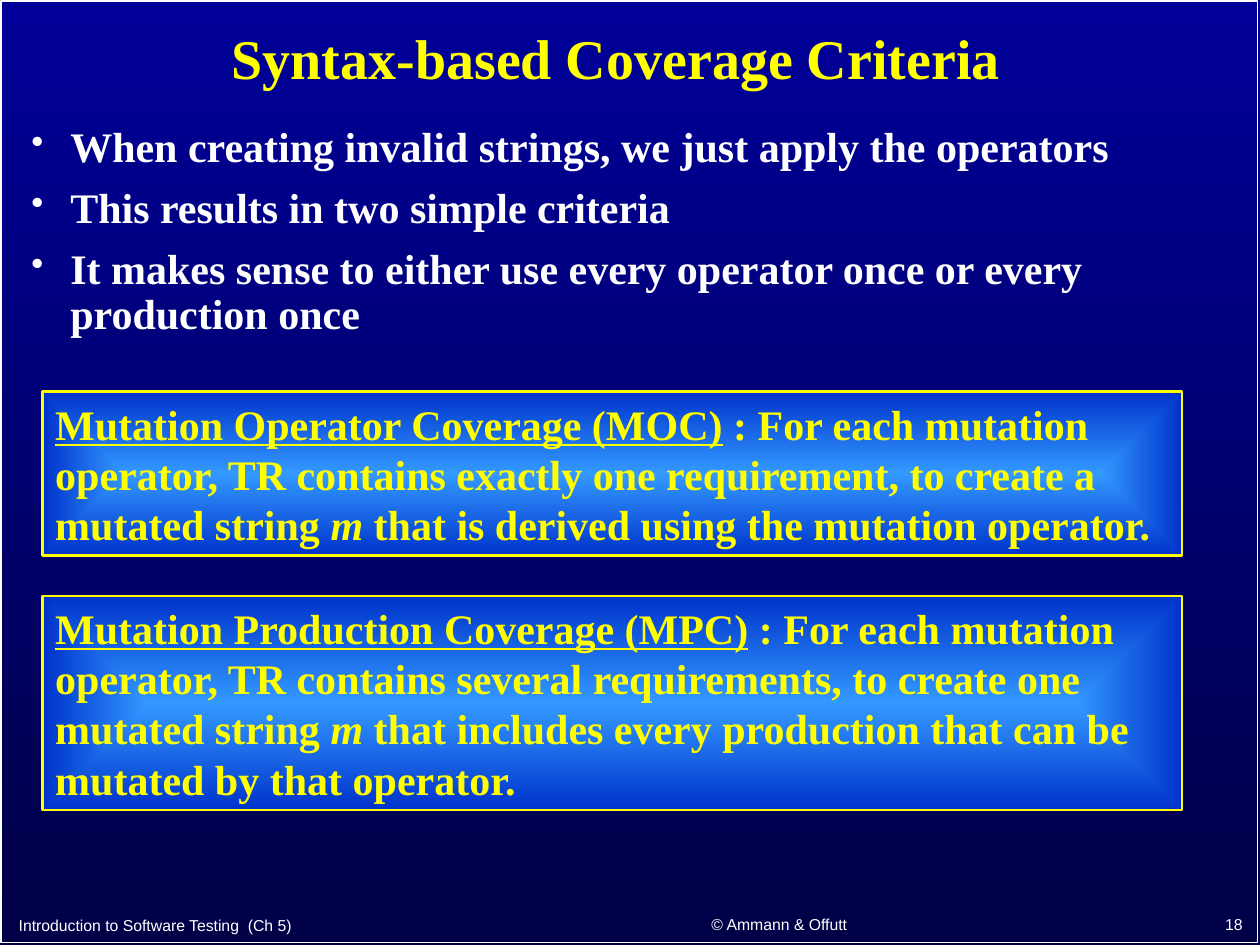
import pptx
import pptx.dml.color
import pptx.enum.shapes
import pptx.enum.text
import pptx.oxml
import pptx.oxml.ns
import pptx.util
from pptx.util import Inches

ALIGN = pptx.enum.text.PP_ALIGN
ANCHOR = pptx.enum.text.MSO_ANCHOR
RECTANGLE = pptx.enum.shapes.MSO_SHAPE.RECTANGLE


def color(hex_string):
    return pptx.dml.color.RGBColor.from_string(hex_string)


def xml(markup):
    """Parse an element written with the a: prefix."""
    tag, rest = markup[:-2].split(" ", 1) if " " in markup else (markup[:-2], "")
    return pptx.oxml.parse_xml(f"{tag} {pptx.oxml.ns.nsdecls('a')} {rest}/>")


def set_gradient(fill, start, end):
    fill.gradient()
    for stop, shade, position in zip(fill.gradient_stops, (start, end), (0, 1)):
        stop.color.rgb = color(shade)
        stop.position = position


class CriteriaSlide:
    SERIF, SANS = "Times New Roman", "Arial"
    WHITE, YELLOW = "FFFFFF", "FFFF00"
    HEADING_SIZE, TEXT_SIZE, FOOTER_SIZE = 32, 24, 9

    def __init__(self, presentation):
        self.slide = presentation.slides.add_slide(presentation.slide_layouts[5])

    def format_font(self, font, name, size, hex_string, bold=False):
        font.name = name
        font.size = pptx.util.Pt(size)
        font.color.rgb = color(hex_string)
        font.bold = bold

    def background(self, top, bottom):
        fill = self.slide.background.fill
        set_gradient(fill, top, bottom)
        fill.gradient_angle = 270

    def rectangle(self, left, top, width, height, line_color, line_width):
        shape = self.slide.shapes.add_shape(
            RECTANGLE, Inches(left), Inches(top), Inches(width), Inches(height))
        shape.shadow.inherit = False
        shape.fill.background()
        shape.line.color.rgb = color(line_color)
        shape.line.width = pptx.util.Pt(line_width)
        return shape

    def title(self, text, left, top, width, height):
        heading = self.slide.shapes.title
        heading.left, heading.top = Inches(left), Inches(top)
        heading.width, heading.height = Inches(width), Inches(height)
        frame = heading.text_frame
        frame.text = text
        frame.word_wrap = True
        frame.vertical_anchor = ANCHOR.MIDDLE
        line = frame.paragraphs[0]
        line.alignment = ALIGN.CENTER
        line.line_spacing = 0.9
        self.format_font(line.runs[0].font, self.SERIF, self.HEADING_SIZE, self.YELLOW, True)

    def text_box(self, text, left, top, width, height):
        box = self.slide.shapes.add_textbox(
            Inches(left), Inches(top), Inches(width), Inches(height))
        box.text_frame.word_wrap = True
        box.text_frame.text = text
        return box.text_frame

    def bullets(self, points, left, top, width, height):
        frame = self.text_box("\n".join(points), left, top, width, height)
        for index, point in enumerate(frame.paragraphs):
            properties = point._p.get_or_add_pPr()
            properties.set("marL", str(Inches(0.31)))
            properties.set("indent", str(-Inches(0.31)))
            bullet_color = xml("<a:buClr/>")
            bullet_color.append(xml(f'<a:srgbClr val="{self.WHITE}"/>'))
            properties.append(bullet_color)
            properties.append(xml('<a:buSzPct val="85000"/>'))
            properties.append(xml('<a:buChar char="•"/>'))
            point.line_spacing = 0.9
            if index:
                point.space_before = pptx.util.Pt(9)
            self.format_font(point.runs[0].font, self.SERIF, self.TEXT_SIZE, self.WHITE, True)

    def definition(self, term, before, symbol, after, top, height):
        """Gradient panel with an underlined term and an italic symbol."""
        panel = self.rectangle(0.34, top, 9.04, height, self.YELLOW, 1.5)
        set_gradient(panel.fill, "3399FF", "0033CC")
        gradient = panel._element.spPr.find(pptx.oxml.ns.qn("a:gradFill"))
        center = xml('<a:path path="rect"/>')
        center.append(xml('<a:fillToRect l="50000" t="50000" r="50000" b="50000"/>'))
        gradient.replace(gradient.find(pptx.oxml.ns.qn("a:lin")), center)

        frame = panel.text_frame
        frame.word_wrap = True
        frame.vertical_anchor = ANCHOR.TOP
        sentence = frame.paragraphs[0]
        sentence.alignment = ALIGN.LEFT
        for part in (term, before, symbol, after):
            run = sentence.add_run()
            run.text = part
            self.format_font(run.font, self.SERIF, self.TEXT_SIZE, self.YELLOW, True)
            run.font.underline = part == term
            run.font.italic = part == symbol

    def footer(self, text, left, top, width, height, alignment):
        frame = self.text_box(text, left, top, width, height)
        frame.vertical_anchor = ANCHOR.BOTTOM
        line = frame.paragraphs[0]
        line.alignment = alignment
        self.format_font(line.runs[0].font, self.SANS, self.FOOTER_SIZE, self.WHITE)


def main():
    presentation = pptx.Presentation()
    presentation.slide_width, presentation.slide_height = Inches(10), Inches(7.5)

    page = CriteriaSlide(presentation)
    page.background("000099", "000047")
    page.rectangle(0.01, 0.01, 9.97, 7.47, page.WHITE, 1)
    page.footer("Introduction to Software Testing  (Ch 5)", 0.05, 7.19, 4.35, 0.28, ALIGN.LEFT)
    page.footer("© Ammann & Offutt", 4.6, 7.18, 3.17, 0.28, ALIGN.CENTER)
    page.footer("18", 7.88, 7.17, 2.08, 0.29, ALIGN.RIGHT)
    page.title("Syntax-based Coverage Criteria", 0.64, 0.04, 8.5, 0.9)
    page.bullets([
        "When creating invalid strings, we just apply the operators",
        "This results in two simple criteria",
        "It makes sense to either use every operator once or every production once",
    ], 0.15, 0.95, 9.7, 1.86)
    page.definition(
        "Mutation Production Coverage (MPC)",
        " : For each mutation operator, TR contains several requirements, "
        "to create one mutated string ",
        "m",
        " that includes every production that can be mutated by that operator.",
        4.73, 1.7)
    page.definition(
        "Mutation Operator Coverage (MOC)",
        " : For each mutation operator, TR contains exactly one requirement, "
        "to create a mutated string ",
        "m",
        " that is derived using the mutation operator.",
        3.11, 1.3)
    presentation.save("out.pptx")


if __name__ == "__main__":
    main()
